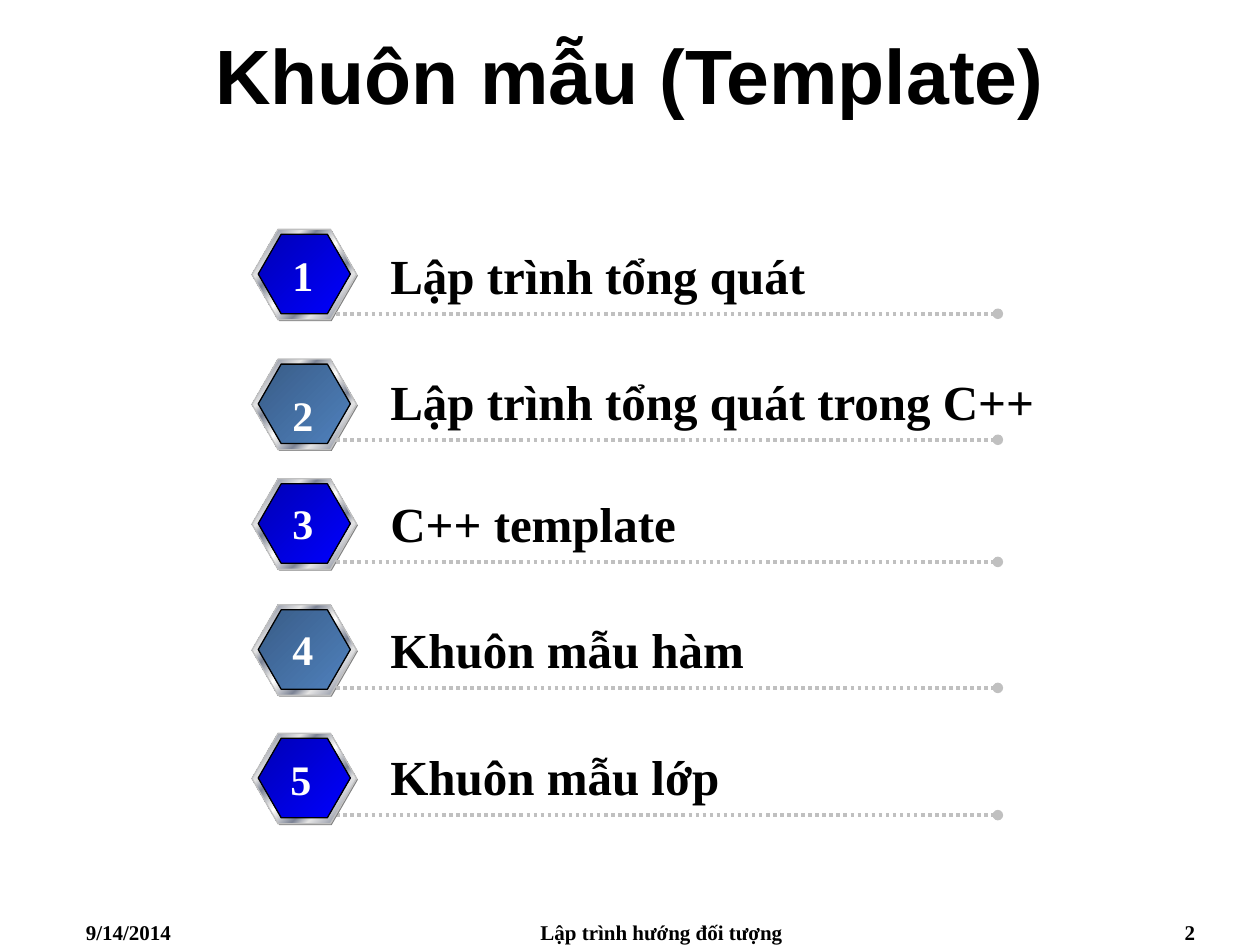
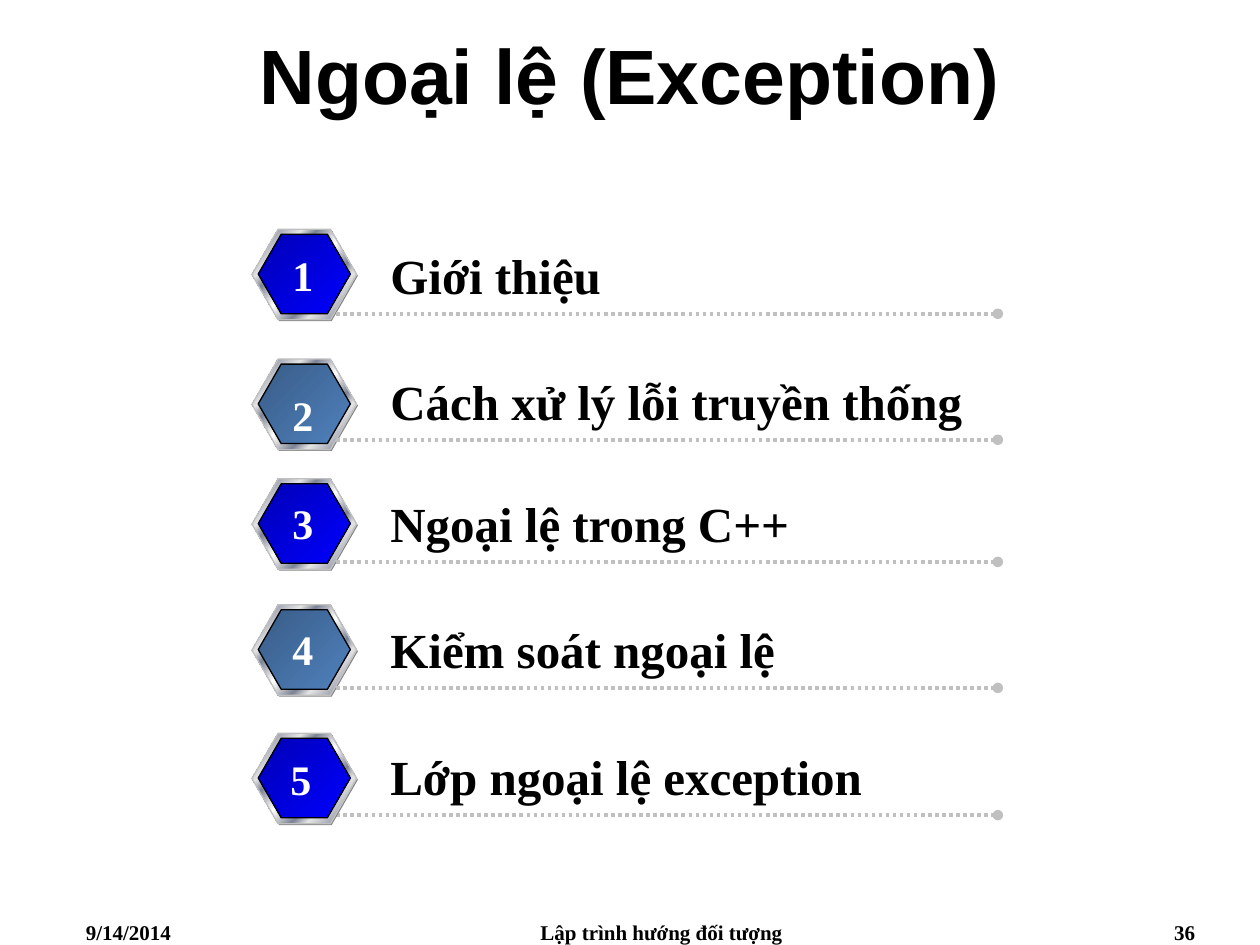
from dataclasses import dataclass

from lxml import etree
from pptx import Presentation
from pptx.dml.color import RGBColor
from pptx.enum.dml import MSO_LINE
from pptx.enum.shapes import MSO_CONNECTOR, MSO_SHAPE
from pptx.enum.text import MSO_ANCHOR, MSO_AUTO_SIZE, PP_ALIGN
from pptx.oxml.ns import qn
from pptx.util import Pt

HEXAGON = MSO_SHAPE.HEXAGON
STRAIGHT = MSO_CONNECTOR.STRAIGHT
DOTTED = MSO_LINE.ROUND_DOT
LEFT, CENTER, RIGHT = PP_ALIGN.LEFT, PP_ALIGN.CENTER, PP_ALIGN.RIGHT
TOP, MIDDLE = MSO_ANCHOR.TOP, MSO_ANCHOR.MIDDLE
GROW, FIXED = MSO_AUTO_SIZE.SHAPE_TO_FIT_TEXT, MSO_AUTO_SIZE.NONE

BLACK, WHITE, SILVER, SHADOW = "000000", "FFFFFF", "C0C0C0", "808080"
METAL = ((0, "E6E6E6"), (7, "7D8496"), (26, "E6E6E6"), (34, "7D8496"),
         (46, "E6E6E6"), (50, "FFFFFF"), (54, "E6E6E6"), (66, "7D8496"),
         (74, "E6E6E6"), (93, "7D8496"), (100, "E6E6E6"))
BLUE = ((0, "0000B6"), (100, "0000FF"))
STEEL = ((0, "395C87"), (100, "4F81BD"))

SERIF = "Times New Roman"
TITLE_FONT = {"name": "Arial", "size": Pt(44), "bold": True}
LABEL_FONT = {"name": SERIF, "size": Pt(28), "bold": True}
NUMBER_FONT = {"name": SERIF, "size": Pt(24), "bold": True}
FOOTER_FONT = {"name": SERIF, "size": Pt(12), "bold": True}

BADGE_LEFT = 144
RULE_LEFT, RULE_RIGHT = 192.2, 570.2
LABEL_LEFT, LABEL_RISE = 216, 42.5


@dataclass(frozen=True)
class Box:
    left: float
    top: float
    width: float
    height: float

    def lengths(self) -> list:
        return [Pt(value) for value in (self.left, self.top, self.width, self.height)]


@dataclass(frozen=True)
class Row:
    badge_top: float
    rule_top: float
    number_top: float
    number_left: float = 159.84
    label_width: float = 354.2
    rule_behind: bool = False


@dataclass(frozen=True)
class Agenda:
    title: str
    page_number: str
    topics: tuple


ROWS = (
    Row(131, 179.3, 139),
    Row(205.2, 251.3, 218.9, label_width=383.8),
    Row(273.6, 321.1, 280.8),
    Row(345.6, 393.1, 352.8),
    Row(419, 465.8, 427, number_left=158.6, rule_behind=True),
)

AGENDAS = (
    Agenda("Khuôn mẫu (Template)", "2", (
        "Lập trình tổng quát",
        "Lập trình tổng quát trong C++",
        "C++ template",
        "Khuôn mẫu hàm",
        "Khuôn mẫu lớp",
    )),
    Agenda("Ngoại lệ (Exception)", "36", (
        "Giới thiệu",
        "Cách xử lý lỗi truyền thống",
        "Ngoại lệ trong C++",
        "Kiểm soát ngoại lệ",
        "Lớp ngoại lệ exception",
    )),
)


def color(value: str) -> RGBColor:
    return RGBColor.from_string(value)


def add_text(shapes, box: Box, text: str, font: dict, ink: str = BLACK,
             align=LEFT, anchor=TOP, wrap: bool = True, fit=FIXED) -> None:
    frame = shapes.add_textbox(*box.lengths()).text_frame
    layout = {"word_wrap": wrap, "auto_size": fit, "vertical_anchor": anchor}
    for name, value in layout.items():
        setattr(frame, name, value)
    para = frame.paragraphs[0]
    para.alignment = align
    span = para.add_run()
    span.text = text
    for name, value in font.items():
        setattr(span.font, name, value)
    span.font.color.rgb = color(ink)


def fill_gradient(shape, stops: tuple) -> None:
    shape.fill.gradient()
    shape.fill.gradient_angle = 315
    stop_list = shape._element.spPr.find(qn("a:gradFill")).find(qn("a:gsLst"))
    for stop in list(stop_list):
        stop_list.remove(stop)
    for percent, value in stops:
        stop = etree.SubElement(stop_list, qn("a:gs"), pos=str(percent * 1000))
        etree.SubElement(stop, qn("a:srgbClr"), val=value)


def add_hexagon(shapes, box: Box):
    hexagon = shapes.add_shape(HEXAGON, *box.lengths())
    hexagon.shadow.inherit = False
    hexagon.adjustments[0] = 0.289
    return hexagon


def add_badge(shapes, top: float, face: tuple) -> None:
    shade = add_hexagon(shapes, Box(BADGE_LEFT + 0.7, top + 0.7, 59.8, 51.8))
    shade.fill.solid()
    shade.fill.fore_color.rgb = color(SHADOW)
    shade.line.fill.background()
    layers = (
        (Box(BADGE_LEFT, top, 59.8, 51.8), METAL, SILVER),
        (Box(BADGE_LEFT + 3.6, top + 2.9, 52.6, 45.4), face, BLACK),
    )
    for box, stops, edge in layers:
        hexagon = add_hexagon(shapes, box)
        fill_gradient(hexagon, stops)
        hexagon.line.color.rgb = color(edge)
        hexagon.line.width = Pt(0.75)


def add_rule(shapes, top: float) -> None:
    rule = shapes.add_connector(STRAIGHT, Pt(RULE_LEFT), Pt(top), Pt(RULE_RIGHT), Pt(top))
    rule.line.color.rgb = color(SILVER)
    rule.line.width = Pt(2)
    rule.line.dash_style = DOTTED
    etree.SubElement(rule.line._get_or_add_ln(), qn("a:tailEnd"), type="oval")
    etree.SubElement(rule._element.spPr, qn("a:effectLst"))


def add_topic(page, number: int, topic: str, row: Row) -> None:
    shapes = page.shapes.add_group_shape().shapes
    face = BLUE if number % 2 else STEEL
    if row.rule_behind:
        add_rule(shapes, row.rule_top)
    add_badge(shapes, row.badge_top, face)
    if not row.rule_behind:
        add_rule(shapes, row.rule_top)
    label_box = Box(LABEL_LEFT, row.rule_top - LABEL_RISE, row.label_width, 41)
    add_text(shapes, label_box, topic, LABEL_FONT, fit=GROW)
    number_box = Box(row.number_left, row.number_top, 26.6, 36)
    add_text(shapes, number_box, str(number), NUMBER_FONT, WHITE, CENTER,
             wrap=False, fit=GROW)


def add_frame(page, agenda: Agenda) -> None:
    add_text(page.shapes, Box(0, 0, 720, 84), agenda.title, TITLE_FONT,
             align=CENTER, anchor=MIDDLE)
    footers = (
        (42, 168, "9/14/2014", LEFT),
        (264, 228, "Lập trình hướng đối tượng", CENTER),
        (522, 168, agenda.page_number, RIGHT),
    )
    for left, width, text, align in footers:
        add_text(page.shapes, Box(left, 522, width, 18), text, FOOTER_FONT, align=align)


def main() -> None:
    deck = Presentation()
    deck.slide_width, deck.slide_height = Pt(720), Pt(540)
    for agenda in AGENDAS:
        page = deck.slides.add_slide(deck.slide_layouts[6])
        add_frame(page, agenda)
        for number, (topic, row) in enumerate(zip(agenda.topics, ROWS), 1):
            add_topic(page, number, topic, row)
    deck.save("out.pptx")


if __name__ == "__main__":
    main()
